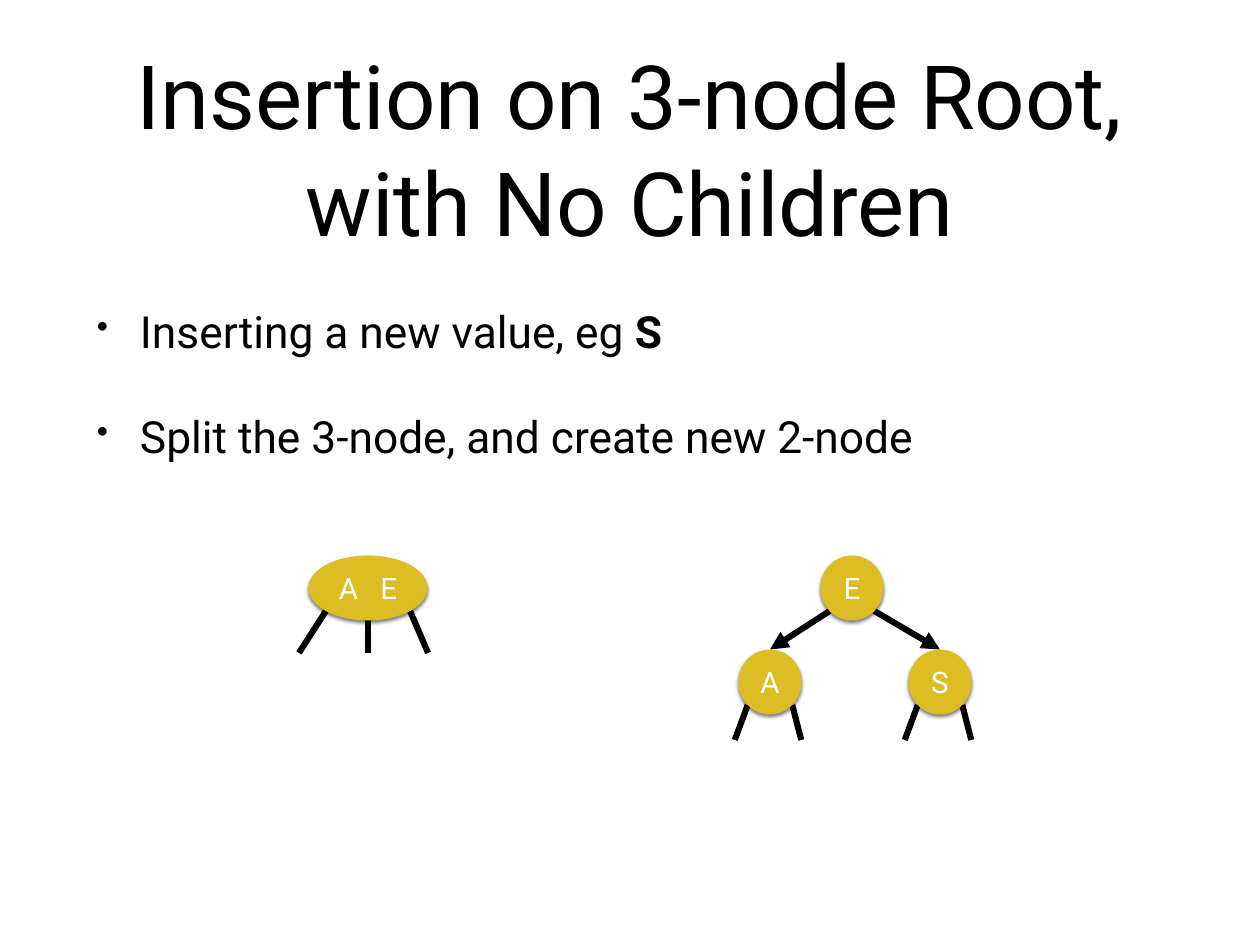
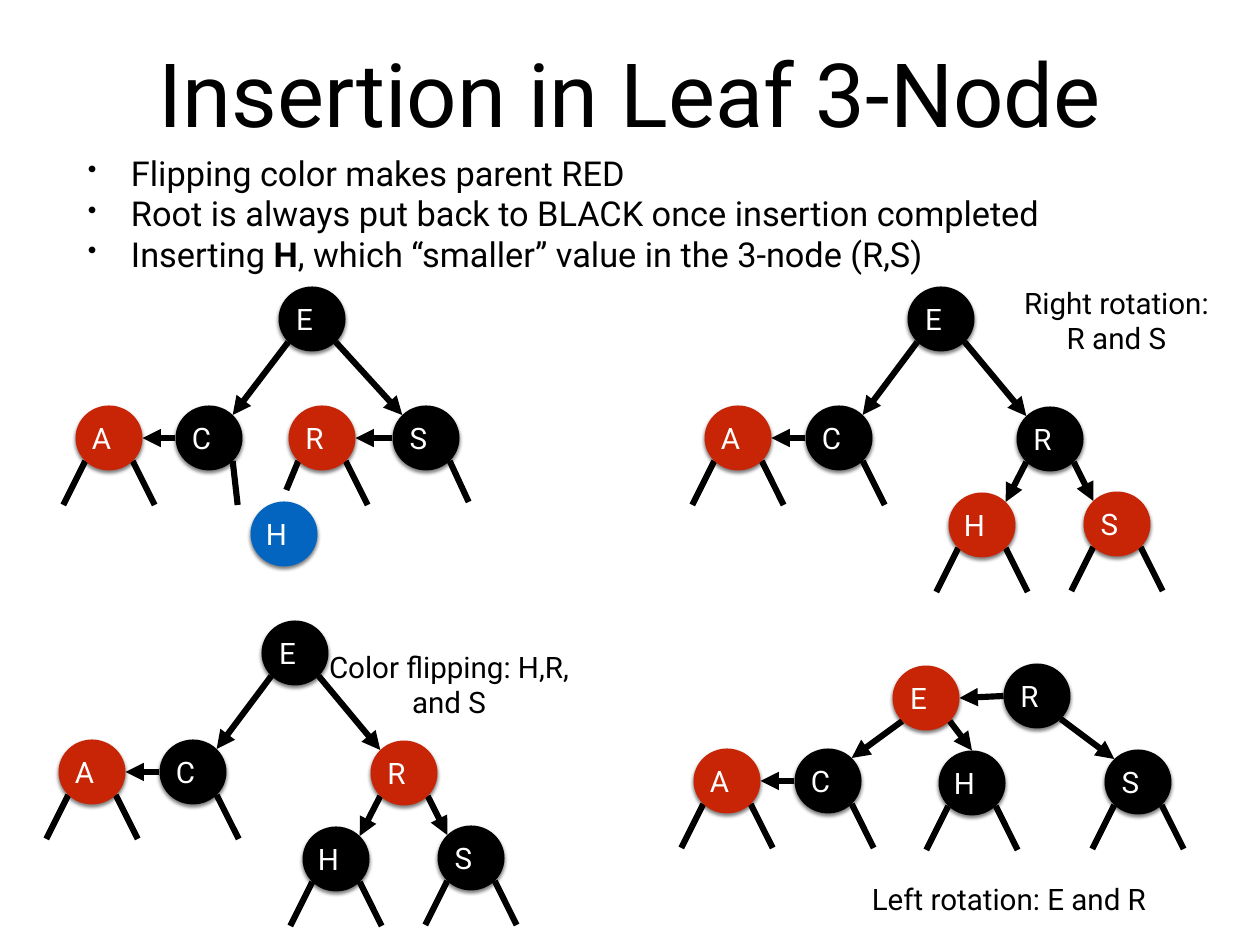
"""Builds two slides on inserting a value into a 3-node of a search tree."""
from lxml.etree import SubElement
from pptx import Presentation
from pptx.dml.color import RGBColor
from pptx.enum.shapes import MSO_CONNECTOR, MSO_SHAPE
from pptx.enum.text import MSO_ANCHOR as Anchor, MSO_AUTO_SIZE as AutoSize, PP_ALIGN as Align
from pptx.oxml.ns import qn
from pptx.util import Pt

PX = 10320
FONT = "Roboto"
BLACK = RGBColor(0x00, 0x00, 0x00)
WHITE = RGBColor(0xFF, 0xFF, 0xFF)
GOLD = RGBColor(0xDC, 0xBD, 0x23)
RED = RGBColor(0xC8, 0x25, 0x06)
BLUE = RGBColor(0x03, 0x65, 0xC0)

INSET = 5
INDENT = 43
DIAGONAL = 0.5 ** 0.5
PORTS = {
    "N": (0, -1), "S": (0, 1), "W": (-1, 0), "E": (1, 0),
    "NW": (-DIAGONAL, -DIAGONAL), "NE": (DIAGONAL, -DIAGONAL),
    "SW": (-DIAGONAL, DIAGONAL), "SE": (DIAGONAL, DIAGONAL),
}
LEFT, RIGHT = ("SW", -22, 44), ("SE", 22, 44)
BOTH = [LEFT, RIGHT]
NARROW = [("SW", -13, 35), ("SE", 9, 35)]
WIDE = [("SW", -27, 42), ("S", 0, 33), ("SE", 18, 42)]
CIRCLE, SMALL_CIRCLE, OVAL = (67, 65), (63, 65), (119, 65)


def right_rotated(parent_fill, leaf_fill):
    """Nodes of the tree whose right subtree is H, R, S."""
    return {
        "E": (0, 0, BLACK, []), "C": (-102, 119, BLACK, [RIGHT]), "A": (-203, 119, RED, BOTH),
        "R": (109, 120, parent_fill, []), "H": (41, 206, leaf_fill, BOTH),
        "S": (176, 205, leaf_fill, BOTH),
    }


ROTATED_LINKS = [("E", "C"), ("E", "R"), ("C", "A"), ("R", "H"), ("R", "S")]

SLIDES = [
    {
        "title": ("Insertion on 3-node Root, with No Children", (92, 43, 1076, 209)),
        "bullets": {
            "box": (92, 295, 1076, 176), "size": 36, "spacing": 1.0, "gaps": [42, 42],
            "items": [[("Inserting a new value, eg ", False), ("S", True)],
                      [("Split the 3-node, and create new 2-node", False)]],
        },
        "trees": [
            {"root": (368, 588), "size": OVAL, "shift": 0, "links": [],
             "nodes": {"A E": (0, 0, GOLD, WIDE)}},
            {"root": (852, 588), "size": SMALL_CIRCLE, "shift": 0,
             "links": [("E", "A", "N"), ("E", "S", "N")],
             "nodes": {"E": (0, 0, GOLD, []), "A": (-82, 94, GOLD, NARROW),
                       "S": (88, 94, GOLD, NARROW)}},
        ],
        "captions": [],
    },
    {
        "title": ("Insertion in Leaf 3-Node", (92, 43, 1076, 99)),
        "bullets": {
            "box": (83, 152, 1076, 130), "size": 27.9, "spacing": 0.8, "gaps": [42, 6, 6],
            "items": [[("Flipping color makes parent RED", False)],
                      [("Root is always put back to BLACK once insertion completed", False)],
                      [("Inserting ", False), ("H", True),
                       (", which “smaller” value in the 3-node (R,S)", False)]],
        },
        "trees": [
            {"root": (312, 319), "size": CIRCLE, "shift": 15,
             "links": [("E", "C"), ("E", "S"), ("C", "A"), ("S", "R")],
             "nodes": {"E": (0, 0, BLACK, []), "C": (-103, 119, BLACK, [("SE", 5, 44)]),
                       "A": (-203, 119, RED, BOTH), "S": (114, 119, BLACK, [("SE", 19, 41)]),
                       "R": (10, 119, RED, [("SW", -12, 29), RIGHT]),
                       "H": (-28, 215, BLUE, [])}},
            {"root": (941, 319), "size": CIRCLE, "shift": 15, "links": ROTATED_LINKS,
             "nodes": right_rotated(BLACK, RED)},
            {"root": (295, 653), "size": CIRCLE, "shift": 15, "links": ROTATED_LINKS,
             "nodes": right_rotated(RED, BLACK)},
            {"root": (926, 698), "size": CIRCLE, "shift": 15,
             "links": [("E", "C"), ("E", "H", "N"), ("C", "A"), ("R", "E"), ("R", "S")],
             "nodes": {"E": (0, 0, RED, []), "R": (111, -2, BLACK, []),
                       "C": (-98, 83, BLACK, [RIGHT]), "A": (-199, 83, RED, BOTH),
                       "H": (46, 85, BLACK, BOTH), "S": (212, 84, BLACK, BOTH)}},
        ],
        "captions": [
            ("Right rotation: R and S", (1007, 279, 219, 82)),
            ("Color flipping: H,R, and S", (322, 643, 254, 82)),
            ("Left rotation: E and R", (841, 876, 336, 46)),
        ],
    },
]


def emu(*pixels):
    return [round(value * PX) for value in pixels]


def prepare_frame(frame, wrap=True, shift=0):
    frame.auto_size = AutoSize.NONE
    frame.word_wrap = wrap
    frame.vertical_anchor = Anchor.MIDDLE
    frame.margin_left = frame.margin_top = frame.margin_bottom = INSET * PX
    frame.margin_right = (INSET + shift) * PX
    return frame


def set_font(paragraph, size, color, align=Align.CENTER):
    paragraph.alignment = align
    paragraph.font.name = FONT
    paragraph.font.size = Pt(size)
    paragraph.font.color.rgb = color


def add_title(slide, text, box):
    title = slide.shapes.title
    title.left, title.top, title.width, title.height = emu(*box)
    paragraph = prepare_frame(title.text_frame).paragraphs[0]
    paragraph.text = text
    set_font(paragraph, 72, BLACK)


def add_bullets(slide, box, size, spacing, gaps, items):
    frame = prepare_frame(slide.shapes.add_textbox(*emu(*box)).text_frame)
    for index, (gap, item) in enumerate(zip(gaps, items)):
        paragraph = frame.add_paragraph() if index else frame.paragraphs[0]
        set_font(paragraph, size, BLACK, Align.LEFT)
        paragraph.space_before = Pt(gap)
        paragraph.line_spacing = spacing
        for text, bold in item:
            run = paragraph.add_run()
            run.text = text
            run.font.bold = bold
        properties = paragraph._p.get_or_add_pPr()
        properties.set("marL", str(INDENT * PX))
        properties.set("indent", str(-INDENT * PX))
        bullet_size = properties.makeelement(qn("a:buSzPct"), {"val": "75000"})
        bullet = properties.makeelement(qn("a:buChar"), {"char": "•"})
        properties.find(qn("a:spcBef")).addnext(bullet_size)
        bullet_size.addnext(bullet)


def add_caption(slide, text, box):
    frame = prepare_frame(slide.shapes.add_textbox(*emu(*box)).text_frame)
    frame.text = text
    set_font(frame.paragraphs[0], 24, BLACK)


def add_line(slide, start, end, arrow=False):
    line = slide.shapes.add_connector(MSO_CONNECTOR.STRAIGHT, *emu(*start, *end))
    line.line.color.rgb = BLACK
    line.line.width = Pt(5)
    properties = line._element.spPr
    if arrow:
        SubElement(properties.find(qn("a:ln")), qn("a:tailEnd"), type="triangle")
    SubElement(properties, qn("a:effectLst"))


def add_node(slide, label, center, size, fill, shift):
    (x, y), (width, height) = center, size
    node = slide.shapes.add_shape(
        MSO_SHAPE.OVAL, *emu(x - width / 2, y - height / 2, width, height))
    node.fill.solid()
    node.fill.fore_color.rgb = fill
    node.line.fill.background()
    node.shadow.inherit = False
    effects = node._element.spPr.find(qn("a:effectLst"))
    shadow = SubElement(effects, qn("a:outerShdw"), blurRad=str(Pt(3)), dist=str(Pt(2)),
                        dir="5400000", rotWithShape="0")
    shade = SubElement(shadow, qn("a:srgbClr"), val=str(BLACK))
    SubElement(shade, qn("a:alpha"), val="50000")
    paragraph = prepare_frame(node.text_frame, False, shift).paragraphs[0]
    set_font(paragraph, 24, WHITE)
    for character in label:
        run = paragraph.add_run()
        run.text = character
        if character == " ":
            run._r.get_or_add_rPr().set("spc", "1200")


def link_ports(parent, child, entry=None):
    """Choose the exit and entry points from where the child lies."""
    if abs(child[1] - parent[1]) < 5:
        return "W", "E"
    leave, arrive = ("SW", "NE") if child[0] < parent[0] else ("SE", "NW")
    return leave, entry or arrive


def add_tree(slide, root, size, shift, nodes, links):
    centers = {name: (root[0] + dx, root[1] + dy) for name, (dx, dy, *_) in nodes.items()}

    def port(name, side):
        return [c + unit * length / 2
                for c, unit, length in zip(centers[name], PORTS[side], size)]

    for name, (*_, legs) in nodes.items():
        for side, dx, dy in legs:
            x, y = port(name, side)
            add_line(slide, (x, y), (x + dx, y + dy))
    for parent, child, *entry in links:
        leave, arrive = link_ports(centers[parent], centers[child], *entry)
        add_line(slide, port(parent, leave), port(child, arrive), arrow=True)
    for name, (_, _, fill, _) in nodes.items():
        add_node(slide, name, centers[name], size, fill, shift)


deck = Presentation()
deck.slide_width, deck.slide_height = emu(1260, 945)
for content in SLIDES:
    slide = deck.slides.add_slide(deck.slide_layouts[5])
    add_title(slide, *content["title"])
    add_bullets(slide, **content["bullets"])
    for tree in content["trees"]:
        add_tree(slide, **tree)
    for caption in content["captions"]:
        add_caption(slide, *caption)
deck.save("out.pptx")
